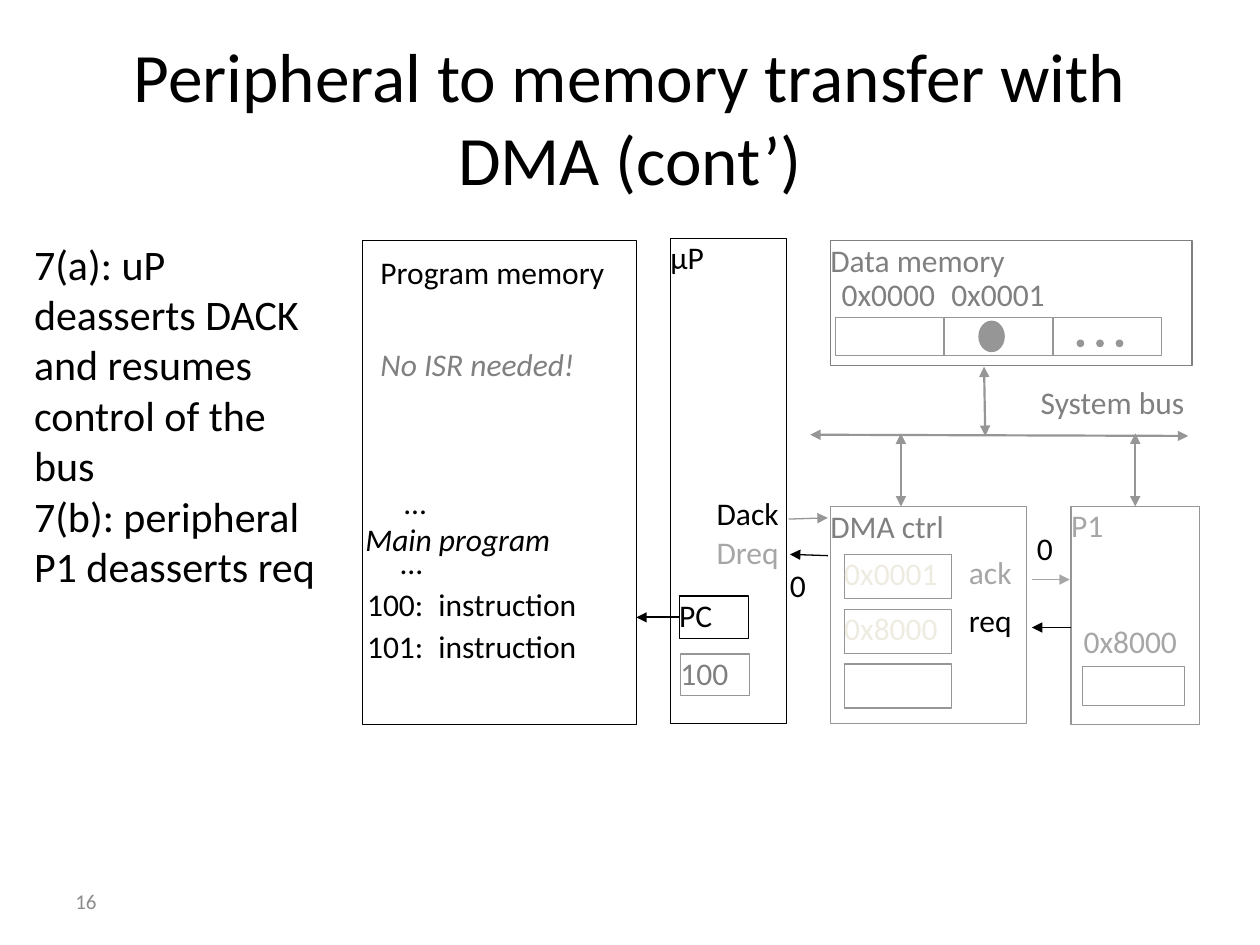
from lxml.etree import SubElement
from pptx import Presentation
from pptx.dml.color import RGBColor
from pptx.enum.shapes import MSO_CONNECTOR, MSO_SHAPE
from pptx.enum.text import MSO_ANCHOR, PP_ALIGN
from pptx.oxml.ns import qn
from pptx.util import Inches, Pt

BLACK, WHITE = "000000", "FFFFFF"
GREY, MID, LIGHT, CREAM = "808080", "969696", "A6A6A6", "EEECE1"
TOP, LEFT = 0, 1


def color(hex_value):
    return RGBColor.from_string(hex_value)


def apply_format(target, values):
    for name, value in values.items():
        setattr(target, name, value)


class Diagram:
    font = "Calibri"
    size = 18
    line_width = 0.75

    def __init__(self, slide):
        self.shapes = slide.shapes

    def set_text(self, shape, lines, ink=BLACK, size=None, align=PP_ALIGN.LEFT,
                 anchor=MSO_ANCHOR.TOP, italic=False, inset=(0, 0)):
        frame = shape.text_frame
        side, end = (Inches(value) for value in inset)
        apply_format(frame, {"word_wrap": True, "vertical_anchor": anchor,
                             "margin_left": side, "margin_right": side,
                             "margin_top": end, "margin_bottom": end})
        for index, line in enumerate(lines):
            paragraph = frame.add_paragraph() if index else frame.paragraphs[0]
            paragraph.alignment = align
            run = paragraph.add_run()
            run.text = line
            apply_format(run.font, {"name": self.font, "italic": italic,
                                    "size": Pt(size or self.size)})
            run.font.color.rgb = color(ink)

    def label(self, at, *lines, **style):
        box = self.shapes.add_textbox(*map(Inches, at))
        self.set_text(box, lines, **style)

    def block(self, at, line, text=None, ink=BLACK, fill=None,
              kind=MSO_SHAPE.RECTANGLE):
        shape = self.shapes.add_shape(kind, *map(Inches, at))
        shape.shadow.inherit = False
        if fill:
            shape.fill.solid()
            shape.fill.fore_color.rgb = color(fill)
        else:
            shape.fill.background()
        shape.line.color.rgb = color(line)
        shape.line.width = Pt(self.line_width)
        if text:
            self.set_text(shape, [text], ink)
        return shape

    def dot(self, at):
        self.block(at, MID, fill=MID, kind=MSO_SHAPE.OVAL)

    def arrow(self, start, end, ink=MID, width=None, both=False,
              begin_at=None, end_at=None):
        link = self.shapes.add_connector(
            MSO_CONNECTOR.STRAIGHT, *map(Inches, start + end))
        if begin_at:
            link.begin_connect(*begin_at)
        if end_at:
            link.end_connect(*end_at)
        link.line.color.rgb = color(ink)
        link.line.width = Pt(width or self.line_width)
        properties = link._element.spPr
        outline = properties.find(qn("a:ln"))
        for tip in ("a:headEnd", "a:tailEnd") if both else ("a:tailEnd",):
            SubElement(outline, qn(tip), type="triangle")
        SubElement(properties, qn("a:effectLst"))


def main():
    prs = Presentation()
    prs.slide_width, prs.slide_height = Inches(10), Inches(7.5)
    diagram = Diagram(prs.slides.add_slide(prs.slide_layouts[6]))
    bus_width = 1.25
    right = PP_ALIGN.RIGHT

    # Title, steps and slide number
    diagram.label((0.5, 0.3, 9, 1.25),
                  "Peripheral to memory transfer with DMA (cont’)",
                  size=39.6, align=PP_ALIGN.CENTER,
                  anchor=MSO_ANCHOR.MIDDLE, inset=(0.1, 0.05))
    diagram.label((0.27, 1.89, 2.31, 4.36),
                  "7(a): uP deasserts DACK and resumes control of the bus",
                  "7(b): peripheral P1 deasserts req", size=24)
    diagram.label((0.5, 6.95, 2.33, 0.4), "16", ink="8C8C8C", size=12,
                  anchor=MSO_ANCHOR.MIDDLE, inset=(0.1, 0.05))

    # Program memory
    diagram.block((2.88, 1.91, 2.17, 3.84), BLACK, fill=WHITE)
    diagram.label((3.02, 2.01, 2, 0.39), "Program memory")
    diagram.label((3.02, 2.74, 1.87, 0.33), "No ISR needed!",
                  ink=GREY, italic=True)
    diagram.label((3.02, 3.83, 0.37, 0.31), "...", align=right)
    diagram.label((2.9, 4.13, 1.71, 0.37), "Main program", italic=True)
    diagram.label((2.99, 4.31, 0.37, 0.3), "...", align=right)
    for address, top in (("100:", 4.64), ("101:", 4.98)):
        diagram.label((2.75, top, 0.61, 0.3), address, align=right)
        diagram.label((3.48, top, 1.29, 0.3), "instruction")

    # Processor
    diagram.block((5.32, 1.89, 0.92, 3.85), BLACK, "μP", fill=WHITE)
    counter = diagram.block((5.39, 4.73, 0.55, 0.34), BLACK, "PC", fill=WHITE)
    diagram.block((5.4, 5.19, 0.55, 0.33), MID, "100", GREY, WHITE)
    diagram.arrow((5.39, 4.9), (5.05, 4.9), BLACK, bus_width,
                  begin_at=(counter, LEFT))
    diagram.label((5.57, 3.92, 0.61, 0.39), "Dack", align=right)
    diagram.label((5.57, 4.23, 0.61, 0.39), "Dreq", ink=LIGHT, align=right)

    # Data memory with its cells
    diagram.block((6.59, 1.91, 2.87, 0.99), GREY, "Data memory", GREY)
    for address, left in (("0x0000", 6.68), ("0x0001", 7.55)):
        diagram.label((left, 2.18, 0.88, 0.3), address, ink=GREY)
    for cell in range(3):
        diagram.block((6.63 + 0.865 * cell, 2.52, 0.86, 0.3), MID)
    diagram.dot((7.77, 2.55, 0.2, 0.24))
    for step in range(3):
        diagram.dot((8.55 + 0.155 * step, 2.7, 0.05, 0.05))

    # DMA controller with its registers
    diagram.block((6.59, 4.02, 1.56, 1.72), MID, "DMA ctrl", GREY, WHITE)
    for row, value in enumerate(("0x0001", "0x8000", None)):
        diagram.block((6.7, 4.4 + 0.435 * row, 0.85, 0.35), MID, value, CREAM)
    diagram.label((7.69, 4.39, 0.44, 0.4), "ack", ink=LIGHT)
    diagram.label((7.69, 4.77, 0.44, 0.4), "req")

    # Peripheral
    peripheral = diagram.block((8.5, 4.02, 1.02, 1.73), MID, "P1", LIGHT)
    diagram.label((8.6, 4.94, 0.82, 0.33), "0x8000", ink=LIGHT)
    diagram.block((8.59, 5.29, 0.81, 0.31), MID, fill=WHITE)

    # System bus
    diagram.label((8.26, 3.04, 1.3, 0.48), "System bus", ink=GREY)
    diagram.arrow((6.43, 3.45), (9.43, 3.46), MID, bus_width, both=True)
    diagram.arrow((7.81, 2.91), (7.82, 3.46), MID, bus_width, both=True)
    diagram.arrow((7.15, 3.44), (7.15, 4.02), MID, bus_width, both=True)
    diagram.arrow((9.01, 3.44), (9.01, 4.02), MID, bus_width, both=True,
                  end_at=(peripheral, TOP))

    # Handshake signals
    diagram.arrow((6.26, 4.12), (6.57, 4.11))
    diagram.arrow((6.57, 4.41), (6.27, 4.4), BLACK)
    diagram.arrow((8.19, 4.6), (8.49, 4.6), LIGHT)
    diagram.arrow((8.5, 4.98), (8.19, 4.98), BLACK)
    diagram.label((8.23, 4.2, 0.25, 0.3), "0")
    diagram.label((6.27, 4.49, 0.27, 0.3), "0")

    prs.save("out.pptx")


if __name__ == "__main__":
    main()
